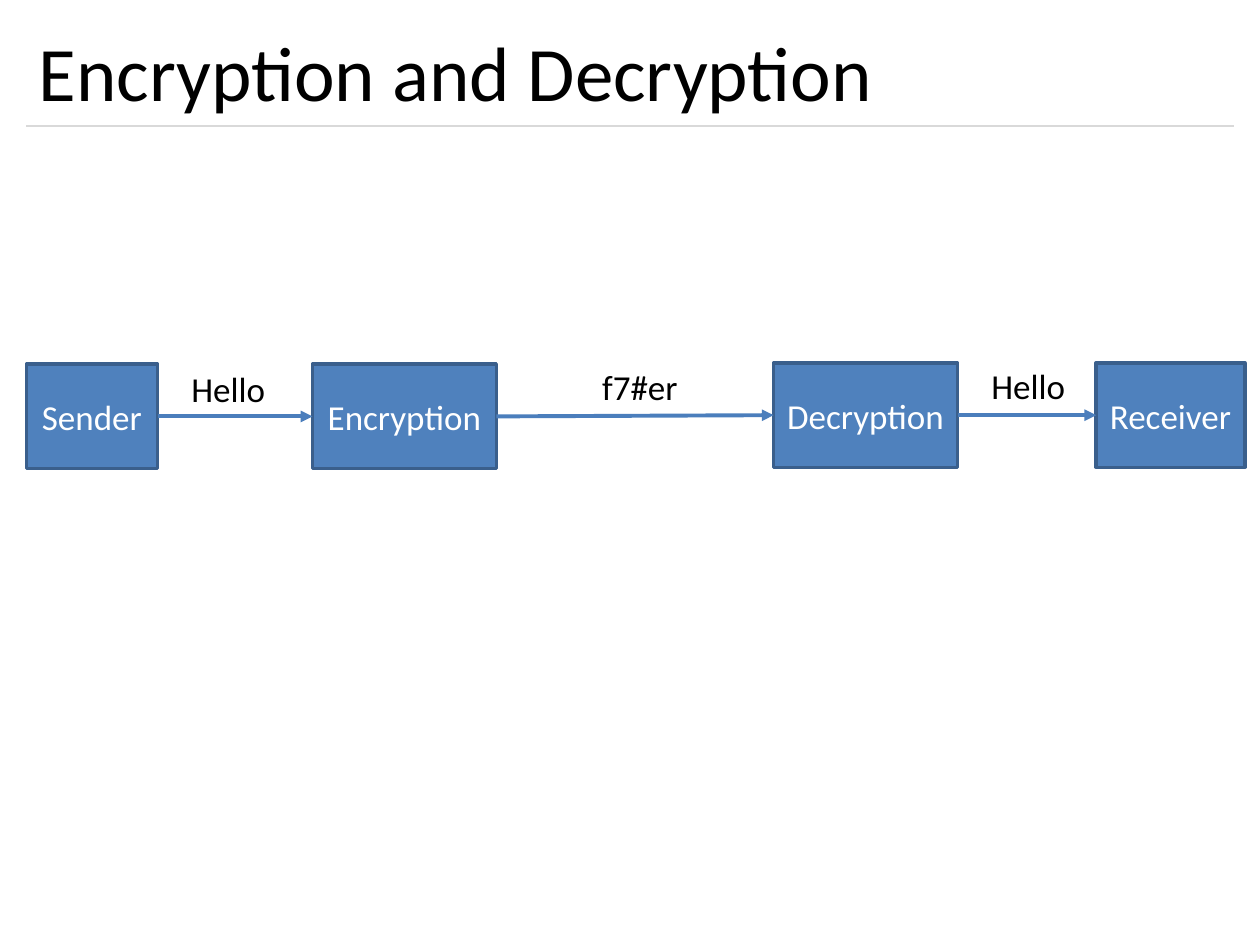
from dataclasses import dataclass
from itertools import pairwise

from lxml.etree import SubElement
from pptx import Presentation
from pptx.dml.color import RGBColor
from pptx.enum.shapes import MSO_CONNECTOR as Connector, MSO_SHAPE as Shape
from pptx.enum.text import MSO_ANCHOR as Anchor, PP_ALIGN as Align
from pptx.oxml.ns import qn
from pptx.util import Inches, Pt

COLUMNS, ROWS = 100, 75
RIGHT_SIDE, LEFT_SIDE = 3, 1


@dataclass(frozen=True)
class Theme:
    font: str = "Calibri"
    title_size: float = 44
    body_size: float = 20
    text: str = "000000"
    box_text: str = "FFFFFF"
    box_fill: str = "4F81BD"
    box_line: str = "3A5F8C"
    arrow: str = "4B7EBC"
    rule: str = "D9D9D9"
    box_line_width: float = 2
    arrow_width: float = 2.25
    rule_width: float = 0.75


THEME = Theme()


@dataclass(frozen=True)
class Box:
    """An area of the slide, in grid columns and rows."""
    left: float
    top: float
    width: float
    height: float

    def inner(self, left, top, width, height):
        return Box(self.left + left, self.top + top, width, height)

    def lengths(self, presentation):
        column = presentation.slide_width / COLUMNS
        row = presentation.slide_height / ROWS
        return [round(value * unit) for value, unit in zip(
            (self.left, self.top, self.width, self.height),
            (column, row, column, row))]


def apply_format(target, values):
    for name, value in values.items():
        setattr(target, name, value)


def write_text(shape, text, size, color, align, anchor, wrap):
    frame = shape.text_frame
    apply_format(frame, {"word_wrap": wrap, "vertical_anchor": anchor})
    paragraph = frame.paragraphs[0]
    paragraph.alignment = align
    run = paragraph.add_run()
    run.text = text
    apply_format(run.font, {"name": THEME.font, "size": Pt(size)})
    run.font.color.rgb = RGBColor.from_string(color)


def style_line(line, color, width):
    line.color.rgb = RGBColor.from_string(color)
    line.width = Pt(width)


def add_line(slide, ends, color, width):
    connector = slide.shapes.add_connector(Connector.STRAIGHT, *ends)
    style_line(connector.line, color, width)
    SubElement(connector._element.spPr, qn("a:effectLst"))
    return connector


def add_title(presentation, slide, box, text):
    left, top, width, height = box.lengths(presentation)
    bottom = top + height
    add_line(slide, (left, bottom, left + width, bottom),
             THEME.rule, THEME.rule_width)
    title = slide.shapes.add_textbox(left, top, width, height)
    write_text(title, text, THEME.title_size, THEME.text,
               Align.LEFT, Anchor.MIDDLE, True)


def add_stage(presentation, slide, box, name):
    stage = slide.shapes.add_shape(Shape.RECTANGLE, *box.lengths(presentation))
    stage.shadow.inherit = False
    stage.fill.solid()
    stage.fill.fore_color.rgb = RGBColor.from_string(THEME.box_fill)
    style_line(stage.line, THEME.box_line, THEME.box_line_width)
    write_text(stage, name, THEME.body_size, THEME.box_text,
               Align.CENTER, Anchor.MIDDLE, False)
    return stage


def add_arrow(slide, source, target):
    """Join the right side of source to the left side of target."""
    arrow = add_line(slide, (0, 0, 0, 0), THEME.arrow, THEME.arrow_width)
    arrow.begin_connect(source, RIGHT_SIDE)
    arrow.end_connect(target, LEFT_SIDE)
    SubElement(arrow.line._get_or_add_ln(), qn("a:tailEnd"), type="triangle")


def add_message(presentation, slide, box, text):
    label = slide.shapes.add_textbox(*box.lengths(presentation))
    write_text(label, text, THEME.body_size, THEME.text,
               Align.LEFT, Anchor.TOP, False)


def add_flow(presentation, slide, box, stages, messages):
    """Draw the stages in a row, an arrow between neighbours, and the messages."""
    stage_height, message_height = 8.3, 4.4
    shapes = [
        add_stage(presentation, slide,
                  box.inner(left, top, width, stage_height), name)
        for name, left, top, width in stages]
    for source, target in pairwise(shapes):
        add_arrow(slide, source, target)
    for text, left, top, width in messages:
        add_message(presentation, slide,
                    box.inner(left, top, width, message_height), text)


def main():
    presentation = Presentation()
    apply_format(presentation, {"slide_width": Inches(10),
                                "slide_height": Inches(7.5)})
    slide = presentation.slides.add_slide(presentation.slide_layouts[6])
    add_title(presentation, slide, Box(2.1, 1.2, 95.8, 8.8),
              "Encryption and Decryption")
    # Each entry: text, left, top and width within the flow.
    stages = [("Sender", 0, 0.5, 10.4),
              ("Encryption", 22.7, 0.5, 14.6),
              ("Decryption", 59.3, 0.4, 14.6),
              ("Receiver", 84.9, 0.4, 11.8)]
    messages = [("Hello", 12.1, 0.3, 8),
                ("f7#er", 44.7, 0.1, 8.2),
                ("Hello", 75.6, 0, 8)]
    add_flow(presentation, slide, Box(2.1, 28.4, 96.7, 8.8), stages, messages)
    presentation.save("out.pptx")


if __name__ == "__main__":
    main()
